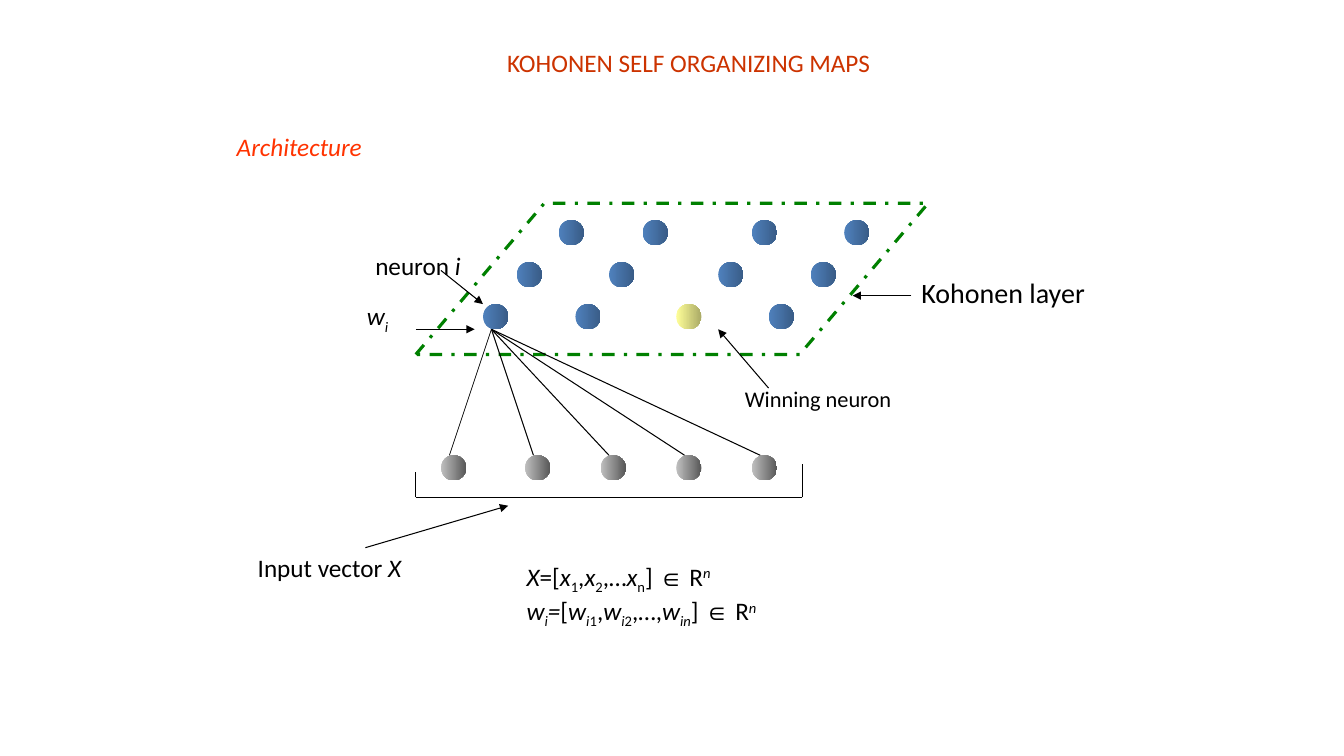
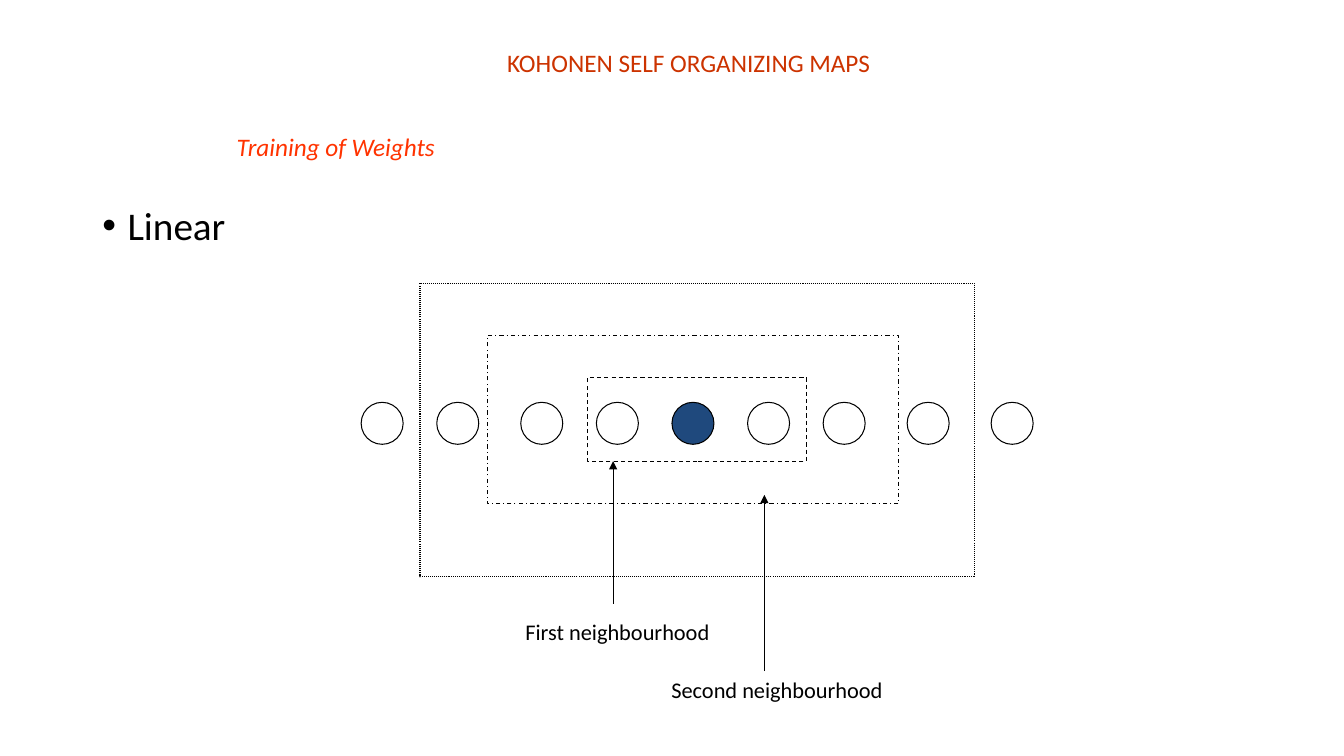
from dataclasses import dataclass

from lxml import etree
from pptx import Presentation
from pptx.dml.color import RGBColor
from pptx.enum.dml import MSO_LINE_DASH_STYLE
from pptx.enum.shapes import MSO_CONNECTOR_TYPE, MSO_SHAPE
from pptx.enum.text import PP_PARAGRAPH_ALIGNMENT
from pptx.oxml.ns import qn
from pptx.util import Emu, Inches, Pt

LEFT = PP_PARAGRAPH_ALIGNMENT.LEFT
CENTER = PP_PARAGRAPH_ALIGNMENT.CENTER
JUSTIFY = PP_PARAGRAPH_ALIGNMENT.JUSTIFY
DASH = MSO_LINE_DASH_STYLE.DASH
DASH_DOT = MSO_LINE_DASH_STYLE.DASH_DOT
ROUND_DOT = MSO_LINE_DASH_STYLE.ROUND_DOT
STRAIGHT = MSO_CONNECTOR_TYPE.STRAIGHT
OVAL = MSO_SHAPE.OVAL
RECTANGLE = MSO_SHAPE.RECTANGLE
PARALLELOGRAM = MSO_SHAPE.PARALLELOGRAM

COLORS = {
    "text": "000000",
    "title": "CC3300",
    "subtitle": "FF3300",
    "layer": "008000",
    "winner": "1F497D",
}
GRADIENTS = {
    "input": ("C0C0C0", "585858"),
    "winning": ("FFFF99", "AAAA66"),
    "neuron": ("4F81BD", "395C87"),
}
FONT = "Calibri"
SYMBOL_FONT = "Arial"
TITLE = "KOHONEN SELF ORGANIZING MAPS"
COLUMNS, ROWS = 160, 90
CELL = Inches(13.33) / COLUMNS
SUBSCRIPT, SUPERSCRIPT = -25, 30
BALL = 3
CIRCLE = 5


@dataclass(frozen=True)
class Box:
    """A rectangle in grid columns and rows."""
    column: float
    row: float
    width: float
    height: float

    def lengths(self) -> tuple:
        """Return left, top, width and height as lengths."""
        return tuple(grid(n) for n in (self.column, self.row, self.width, self.height))


@dataclass(frozen=True)
class Piece:
    """A run of text with its own style."""
    text: str
    italic: bool = False
    baseline: int = 0
    font: str = FONT


@dataclass(frozen=True)
class Label:
    """A text box with one or more lines of pieces."""
    box: Box
    lines: tuple
    size: int = 18
    color: str = "text"
    align: int = LEFT


@dataclass(frozen=True)
class Line:
    """A straight line between two grid points."""
    start: tuple
    end: tuple
    arrow: bool = False
    weight: float = 0.75


@dataclass(frozen=True)
class Neighbourhood:
    """A dashed frame around the winning neuron."""
    box: Box
    dash: int


def grid(count: float) -> Emu:
    """Convert grid cells to a length."""
    return Emu(round(count * CELL))


def color(name: str) -> RGBColor:
    """Look up a named colour."""
    return RGBColor.from_string(COLORS[name])


def plain(text: str) -> Piece:
    """Return an upright piece."""
    return Piece(text)


def slanted(text: str) -> Piece:
    """Return an italic piece."""
    return Piece(text, True)


def lowered(text: str, italic: bool = False) -> Piece:
    """Return a subscript piece."""
    return Piece(text, italic, SUBSCRIPT)


MEMBER = (plain("] "), Piece("∈", font=SYMBOL_FONT), plain(" R"), Piece("n", True, SUPERSCRIPT))
INPUT_FORMULA = (
    slanted("X"), plain("=["), slanted("x"), lowered("1"), plain(","), slanted("x"),
    lowered("2"), plain(",…"), slanted("x"), lowered("n"), *MEMBER,
)
WEIGHT_FORMULA = (
    slanted("w"), lowered("i", True), slanted("="), plain("["),
    slanted("w"), lowered("i", True), lowered("1"), plain(","),
    slanted("w"), lowered("i", True), lowered("2"), plain(",…,"),
    slanted("w"), lowered("in", True), *MEMBER,
)
NEURON_ROWS = {
    26.2: (66.5, 76.5, 89.5, 100.5),
    31.2: (61.5, 72.5, 85.5, 96.5),
    36.2: (57.5, 68.5, 91.5),
}
INPUT_COLUMNS = (52.5, 62.5, 71.5, 80.5, 89.5)
INPUT_ROW = 54.2
NEURON_FOOT = (58.5, 39.2)
ARCHITECTURE_LINES = (
    Line((91.5, 46.2), (85.5, 39.2), True),
    Line((49.5, 39.2), (56.5, 39.2), True),
    Line((52.5, 32.2), (57.5, 36.2), True),
    Line((49.5, 59.2), (95.5, 59.2)),
    Line((49.5, 59.2), (49.5, 56.2)),
    Line((95.5, 59.2), (95.5, 55.2)),
    Line((43.5, 65.2), (60.5, 60.2), True),
    Line((108.5, 35.2), (101.5, 35.2), True),
)
ARCHITECTURE_LABELS = (
    Label(Box(87.5, 45.2, 31, 4.4), ((plain("Winning neuron"),),), 16),
    Label(Box(42.5, 35.2, 13, 5.2), ((slanted("w"), lowered("i", True)),)),
    Label(Box(43.5, 29.2, 15, 4.8), ((plain("neuron "), slanted("i")),)),
    Label(Box(29.5, 65.2, 31, 4.8), ((plain("Input vector"), slanted(" X")),)),
    Label(Box(61.5, 66.2, 48, 10.8), (INPUT_FORMULA, WEIGHT_FORMULA)),
    Label(Box(108.5, 32.2, 25, 9.2), ((plain("Kohonen layer"),),), 20),
)
CIRCLE_COLUMNS = (43, 52, 62, 71, 80, 89, 98, 108, 118)
CIRCLE_ROW = 47.9
WINNER_COLUMN = 80
NEIGHBOURHOODS = (
    Neighbourhood(Box(70, 44.9, 26, 10), DASH),
    Neighbourhood(Box(58, 40, 49, 20), DASH_DOT),
    Neighbourhood(Box(50, 33.7, 66, 35), ROUND_DOT),
)
TRAINING_LINES = (
    Line((73, 71.9), (73, 54.9), True),
    Line((91, 79.9), (91, 58.9), True),
)
TRAINING_LABELS = (
    Label(Box(49, 73, 49, 4.3), ((plain("First neighbourhood"),),), 16, align=CENTER),
    Label(Box(68, 79.9, 49, 4.3), ((plain("Second neighbourhood"),),), 16, align=CENTER),
)
BULLET_LABEL = Label(Box(11, 24, 138, 57.1), ((plain("Linear"),),), 28)


def add_label(slide, label: Label):
    """Draw a text box run by run and return its text frame."""
    frame = slide.shapes.add_textbox(*label.box.lengths()).text_frame
    frame.word_wrap = True
    for index, pieces in enumerate(label.lines):
        paragraph = frame.add_paragraph() if index else frame.paragraphs[0]
        paragraph.alignment = label.align
        for piece in pieces:
            run = paragraph.add_run()
            run.text = piece.text
            run.font.name = piece.font
            run.font.size = Pt(label.size)
            run.font.italic = piece.italic
            run.font.color.rgb = color(label.color)
            if piece.baseline:
                run._r.get_or_add_rPr().set("baseline", str(piece.baseline * 1000))
    return frame


def add_bullet(slide, label: Label) -> None:
    """Draw a bulleted text box with a hanging indent."""
    paragraph = add_label(slide, label).paragraphs[0]
    paragraph.line_spacing = 0.9
    properties = paragraph._p.get_or_add_pPr()
    properties.set("marL", str(Inches(0.25)))
    properties.set("indent", str(-Inches(0.25)))
    etree.SubElement(properties, qn("a:buFont")).set("typeface", SYMBOL_FONT)
    etree.SubElement(properties, qn("a:buChar")).set("char", "•")


def add_line(slide, line: Line) -> None:
    """Draw a straight line, with an arrowhead if asked for."""
    points = [grid(number) for number in (*line.start, *line.end)]
    connector = slide.shapes.add_connector(STRAIGHT, *points)
    connector.line.color.rgb = color("text")
    connector.line.width = Pt(line.weight)
    if line.arrow:
        outline = connector.line._get_or_add_ln()
        etree.SubElement(outline, qn("a:tailEnd")).set("type", "triangle")
    etree.SubElement(connector._element.spPr, qn("a:effectLst"))


def add_outline(slide, kind: int, box: Box, line_color: str = "text", weight: float = 0.75):
    """Draw an unfilled shape and return it."""
    shape = slide.shapes.add_shape(kind, *box.lengths())
    shape.shadow.inherit = False
    shape.fill.background()
    shape.line.color.rgb = color(line_color)
    shape.line.width = Pt(weight)
    return shape


def add_ball(slide, column: float, row: float, gradient: str) -> None:
    """Draw a small shaded ball without an outline."""
    ball = add_outline(slide, OVAL, Box(column, row, BALL, BALL))
    ball.line.fill.background()
    ball.fill.gradient()
    ball.fill.gradient_angle = 0
    for stop, shade in zip(ball.fill.gradient_stops, GRADIENTS[gradient]):
        stop.color.rgb = RGBColor.from_string(shade)


def add_titled_slide(presentation, subtitle: str):
    """Add a blank slide with the shared title and its subtitle."""
    slide = presentation.slides.add_slide(presentation.slide_layouts[6])
    add_label(slide, Label(Box(35, 5, 94, 4.8), ((plain(TITLE),),), 18, "title", CENTER))
    add_label(slide, Label(Box(27, 15, 108, 4.8), ((slanted(subtitle),),), 18, "subtitle", JUSTIFY))
    return slide


def build_architecture(presentation) -> None:
    """Build the slide of the map's architecture."""
    slide = add_titled_slide(presentation, "Architecture")
    layer = add_outline(slide, PARALLELOGRAM, Box(49.5, 24.2, 61, 18), "layer", 2.25)
    layer.adjustments[0] = 0.85
    layer.line.dash_style = DASH_DOT
    for column in INPUT_COLUMNS:
        add_ball(slide, column, INPUT_ROW, "input")
    for index, column in enumerate(INPUT_COLUMNS):
        weight = 0.75 if index else 0.5
        add_line(slide, Line((column + 1, INPUT_ROW), NEURON_FOOT, weight=weight))
    for line in ARCHITECTURE_LINES:
        add_line(slide, line)
    for label in ARCHITECTURE_LABELS:
        add_label(slide, label)
    for row, columns in NEURON_ROWS.items():
        for column in columns:
            add_ball(slide, column, row, "neuron")
    add_ball(slide, 80.5, 36.2, "winning")


def build_training(presentation) -> None:
    """Build the slide of the linear neighbourhoods."""
    slide = add_titled_slide(presentation, "Training of Weights")
    for column in CIRCLE_COLUMNS:
        circle = add_outline(slide, OVAL, Box(column, CIRCLE_ROW, CIRCLE, CIRCLE))
        if column == WINNER_COLUMN:
            circle.fill.solid()
            circle.fill.fore_color.rgb = color("winner")
    for neighbourhood in NEIGHBOURHOODS:
        frame = add_outline(slide, RECTANGLE, neighbourhood.box)
        frame.line.dash_style = neighbourhood.dash
    for line in TRAINING_LINES:
        add_line(slide, line)
    for label in TRAINING_LABELS:
        add_label(slide, label)
    add_bullet(slide, BULLET_LABEL)


def main() -> None:
    """Build and save the presentation."""
    presentation = Presentation()
    presentation.slide_width = grid(COLUMNS)
    presentation.slide_height = grid(ROWS)
    build_architecture(presentation)
    build_training(presentation)
    presentation.save("out.pptx")


if __name__ == "__main__":
    main()
